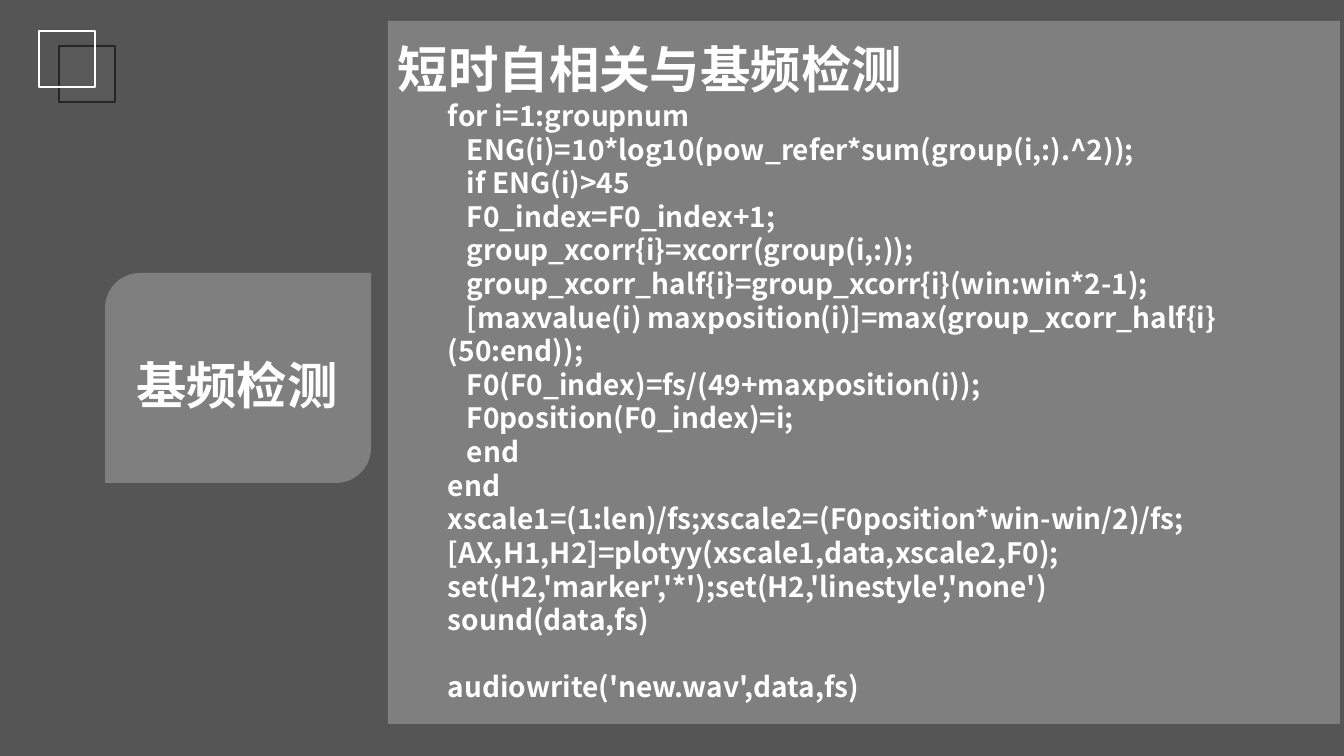
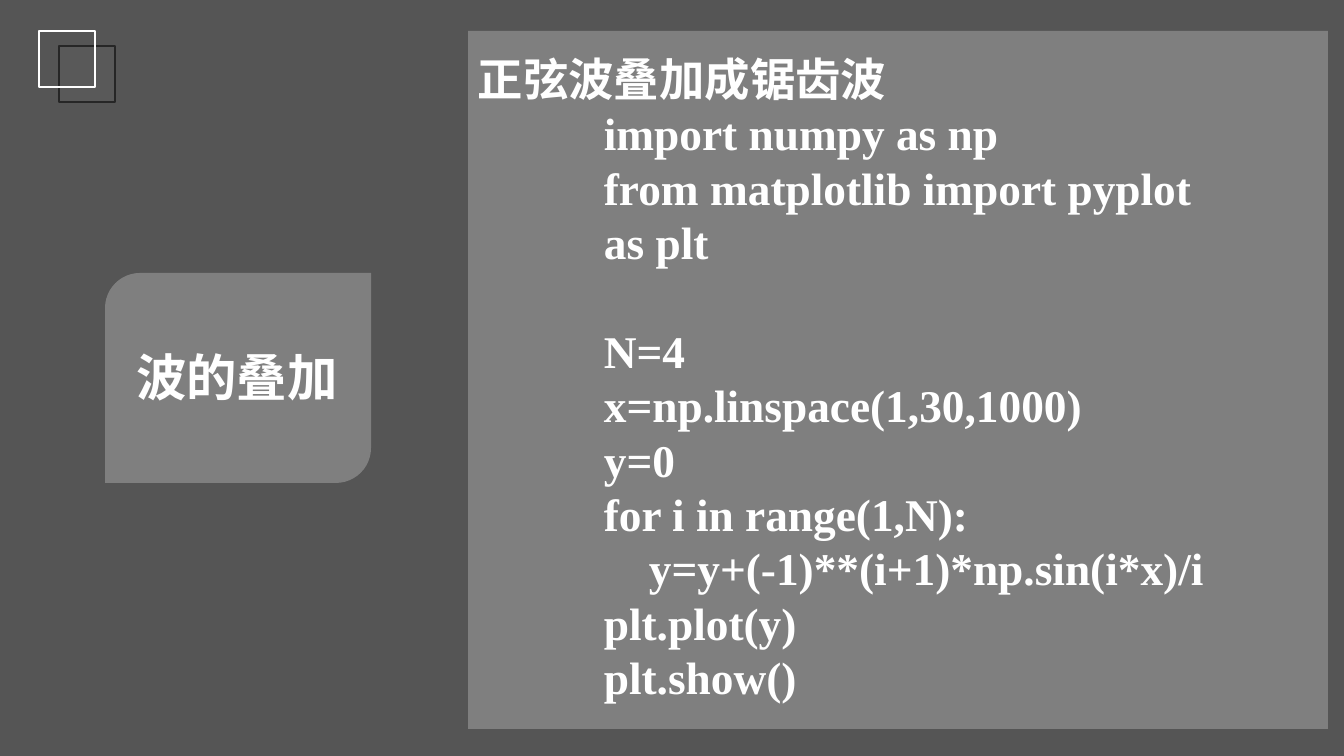
from dataclasses import dataclass

from lxml.etree import SubElement
from pptx import Presentation
from pptx.dml.color import RGBColor
from pptx.enum.shapes import MSO_SHAPE as Preset
from pptx.enum.text import MSO_ANCHOR as Anchor, PP_ALIGN as Align
from pptx.oxml.ns import qn
from pptx.util import Emu, Pt

EMU_PER_PX = 914400 / 100.8
WIDTH, HEIGHT = 1344, 756
LEADING = 1.2
CJK_FONT = "Noto Sans CJK SC"
LATIN_FONT = "Times New Roman"
COLORS = {
    "veil": "0D0D0D",
    "white": "FFFFFF",
    "square": "595959",
    "square_edge": "262626",
}


@dataclass(frozen=True)
class Box:
    left: int
    top: int
    width: int
    height: int


@dataclass(frozen=True)
class CodeLine:
    text: str
    nested: bool = False
    after_gap: bool = False


@dataclass(frozen=True)
class CodeSlide:
    label: str
    label_top: int
    title: str
    title_size: float
    code_size: float
    font: str
    panel: Box
    text_box: Box
    code_margin: int
    nested_indent: int
    lines: tuple[CodeLine, ...]


def px(value: float) -> Emu:
    return Emu(round(value * EMU_PER_PX))


def place(box: Box) -> tuple[Emu, Emu, Emu, Emu]:
    return px(box.left), px(box.top), px(box.width), px(box.height)


def add_block(shapes, box: Box, preset=Preset.RECTANGLE, fill: str = "",
              line: str = "", opacity: int = 100) -> None:
    """Draw a preset shape with an optional fill, outline and opacity."""
    shape = shapes.add_shape(preset, *place(box))
    shape.shadow.inherit = False
    if fill:
        shape.fill.solid()
        shape.fill.fore_color.rgb = RGBColor.from_string(COLORS[fill])
        if opacity < 100:
            color = shape.fill._xPr.find(qn("a:solidFill"))[0]
            SubElement(color, qn("a:alpha"), val=str(opacity * 1000))
    else:
        shape.fill.background()
    if line:
        shape.line.color.rgb = RGBColor.from_string(COLORS[line])
        shape.line.width = Pt(1)
    else:
        shape.line.fill.background()


def add_frame(shapes, box: Box, wrap: bool = True, anchor=Anchor.TOP):
    frame = shapes.add_textbox(*place(box)).text_frame
    frame.word_wrap = wrap
    frame.vertical_anchor = anchor
    return frame


def write(paragraph, text: str, *, size: float, font: str = CJK_FONT,
          align=Align.LEFT, margin: int = 0, indent: int = 0,
          gap_lines: int = 0) -> None:
    """Fill a paragraph with bold white text on a fixed line pitch."""
    paragraph.alignment = align
    paragraph.line_spacing = Pt(size * LEADING)
    paragraph.space_before = Pt(size * LEADING * gap_lines)
    properties = paragraph._p.get_or_add_pPr()
    properties.set("marL", str(px(margin)))
    properties.set("indent", str(px(indent)))
    run = paragraph.add_run()
    run.text = text
    run.font.size = Pt(size)
    run.font.bold = True
    run.font.name = font
    run.font.color.rgb = RGBColor.from_string(COLORS["white"])
    SubElement(run._r.get_or_add_rPr(), qn("a:ea"), typeface=CJK_FONT)


def add_backdrop(shapes) -> None:
    """Draw the dark veil and the two corner squares."""
    add_block(shapes, Box(0, 0, WIDTH, HEIGHT), fill="veil", opacity=70)
    add_block(shapes, Box(59, 46, 56, 56), fill="square", line="square_edge")
    add_block(shapes, Box(39, 31, 56, 56), line="white")


def add_label(shapes, text: str, top: int) -> None:
    """Draw the section label on the left as one group."""
    group = shapes.add_group_shape().shapes
    add_block(group, Box(105, 273, 266, 210), Preset.ROUND_2_DIAG_RECTANGLE,
              fill="white", opacity=25)
    frame = add_frame(group, Box(105, top, 264, 48), wrap=False)
    write(frame.paragraphs[0], text, size=36, align=Align.CENTER)


def add_code_slide(presentation, content: CodeSlide) -> None:
    shapes = presentation.slides.add_slide(presentation.slide_layouts[6]).shapes
    add_backdrop(shapes)
    add_label(shapes, content.label, content.label_top)

    # Panel with its title and code
    add_block(shapes, content.panel, fill="white", opacity=25)
    frame = add_frame(shapes, content.text_box)
    write(frame.paragraphs[0], content.title, size=content.title_size,
          font=content.font)
    for line in content.lines:
        write(frame.add_paragraph(), line.text, size=content.code_size,
              font=content.font, margin=content.code_margin,
              indent=content.nested_indent if line.nested else 0,
              gap_lines=int(line.after_gap))


PITCH_DETECTION = CodeSlide(
    label="基频检测", label_top=349,
    title="短时自相关与基频检测", title_size=36, code_size=20, font=CJK_FONT,
    panel=Box(388, 21, 952, 703), text_box=Box(388, 33, 930, 680),
    code_margin=50, nested_indent=19,
    lines=(
        CodeLine("for i=1:groupnum"),
        CodeLine("ENG(i)=10*log10(pow_refer*sum(group(i,:).^2));", nested=True),
        CodeLine("if ENG(i)>45", nested=True),
        CodeLine("F0_index=F0_index+1;", nested=True),
        CodeLine("group_xcorr{i}=xcorr(group(i,:));", nested=True),
        CodeLine("group_xcorr_half{i}=group_xcorr{i}(win:win*2-1);", nested=True),
        CodeLine("[maxvalue(i) maxposition(i)]=max(group_xcorr_half{i}(50:end));",
                 nested=True),
        CodeLine("F0(F0_index)=fs/(49+maxposition(i));", nested=True),
        CodeLine("F0position(F0_index)=i;", nested=True),
        CodeLine("end", nested=True),
        CodeLine("end"),
        CodeLine("xscale1=(1:len)/fs;xscale2=(F0position*win-win/2)/fs;"),
        CodeLine("[AX,H1,H2]=plotyy(xscale1,data,xscale2,F0);"),
        CodeLine("set(H2,'marker','*');set(H2,'linestyle','none')"),
        CodeLine("sound(data,fs)"),
        CodeLine("audiowrite('new.wav',data,fs)", after_gap=True),
    ),
)

WAVE_SUM = CodeSlide(
    label="波的叠加", label_top=341,
    title="正弦波叠加成锯齿波", title_size=32.4, code_size=32.4, font=LATIN_FONT,
    panel=Box(468, 31, 860, 698), text_box=Box(468, 46, 784, 620),
    code_margin=126, nested_indent=45,
    lines=(
        CodeLine("import numpy as np"),
        CodeLine("from matplotlib import pyplot as plt"),
        CodeLine("N=4", after_gap=True),
        CodeLine("x=np.linspace(1,30,1000)"),
        CodeLine("y=0"),
        CodeLine("for i in range(1,N):"),
        CodeLine("y=y+(-1)**(i+1)*np.sin(i*x)/i", nested=True),
        CodeLine("plt.plot(y)"),
        CodeLine("plt.show()"),
    ),
)


def main() -> None:
    presentation = Presentation()
    presentation.slide_width, presentation.slide_height = px(WIDTH), px(HEIGHT)
    for content in (PITCH_DETECTION, WAVE_SUM):
        add_code_slide(presentation, content)
    presentation.save("out.pptx")


if __name__ == "__main__":
    main()
